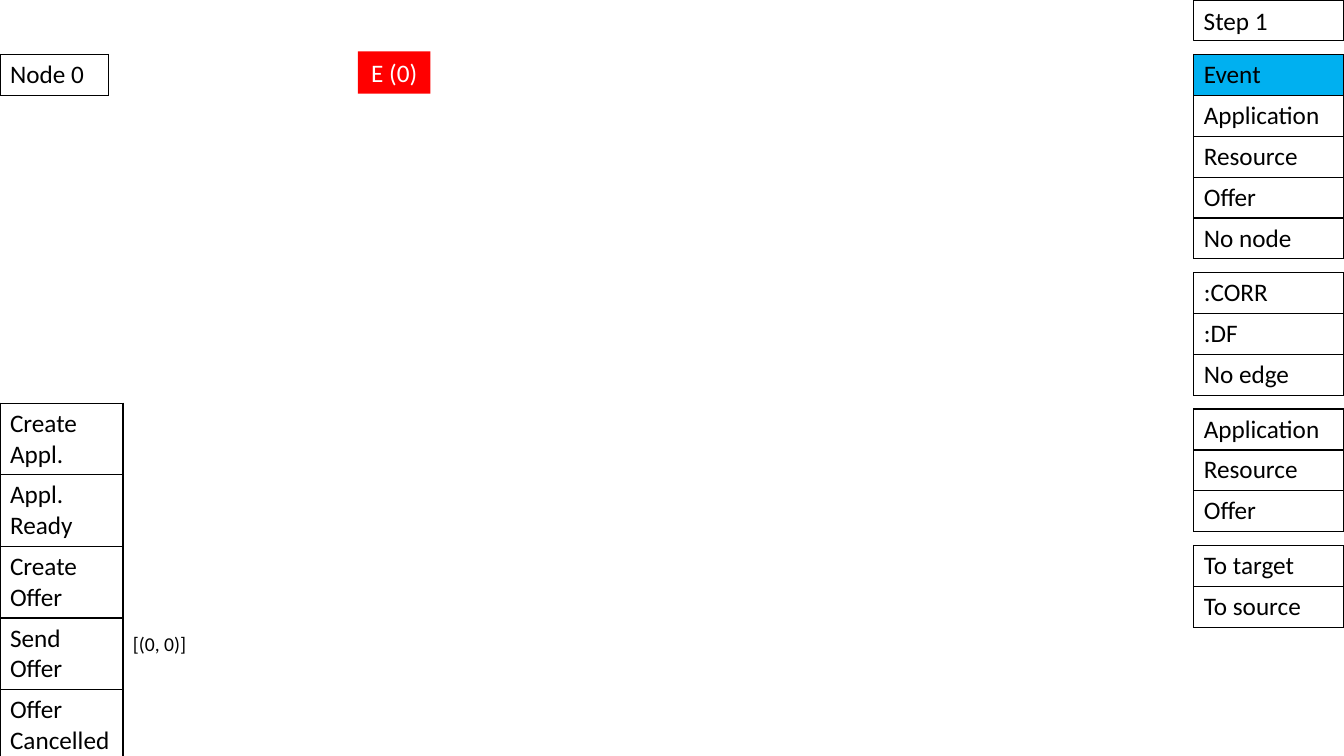
from lxml import etree
from pptx import Presentation
from pptx import util as u
from pptx.dml.color import RGBColor
from pptx.enum import shapes, text
from pptx.oxml import ns

presentation = Presentation()
presentation.slide_width = u.Inches(13.33)
presentation.slide_height = u.Inches(7.5)
slide = presentation.slides.add_slide(presentation.slide_layouts[6])
width, height = presentation.slide_width, presentation.slide_height

unit = height / 55.45
row_height = 3 * unit
side_width = u.Inches(1.49)
side_left = width - side_width
step_width = u.Inches(1.22)


def color(value):
    return RGBColor.from_string(value)


def write(frame, words, size=18, ink="000000", align=text.PP_ALIGN.LEFT):
    paragraph = frame.paragraphs[0]
    paragraph.alignment = align
    run = paragraph.add_run()
    run.text = words
    for name, value in {"name": "Calibri", "size": u.Pt(size), "bold": False}.items():
        setattr(run.font, name, value)
    run.font.color.rgb = color(ink)


boxes = [
    ("Step 1", side_left, 0, side_width, row_height, None, "000000",
     "000000", text.PP_ALIGN.LEFT, text.MSO_ANCHOR.TOP),
    ("E (0)", u.Inches(3.55), u.Inches(0.51), u.Inches(0.72), u.Inches(0.42), "FF0000", None,
     "FFFFFF", text.PP_ALIGN.CENTER, text.MSO_ANCHOR.MIDDLE),
]
for words, left, top, wide, high, fill, line, ink, align, anchor in boxes:
    shape = slide.shapes.add_shape(shapes.MSO_SHAPE.RECTANGLE, int(left), int(top), int(wide), int(high))
    shape.shadow.inherit = False
    for part, value in ((shape.fill, fill), (shape.line.fill, line)):
        if value:
            part.solid()
            part.fore_color.rgb = color(value)
        else:
            part.background()
    if line:
        shape.line.width = u.Pt(0.75)
    shape.text_frame.vertical_anchor = anchor
    write(shape.text_frame, words, ink=ink, align=align)

node_labels = ["Event", "Application", "Resource", "Offer", "No node"]
side_groups = [
    node_labels,
    [":CORR", ":DF", "No edge"],
    node_labels[1:4],
    ["To target", "To source"],
]
activities = ["Create Appl.", "Appl. Ready", "Create Offer", "Send Offer", "Offer Cancelled"]

tables = [
    (["Node 0"], 0, 4 * unit, u.Inches(1.08), row_height),
    (activities, 0, height - u.Inches(3.5), step_width, u.Inches(0.7)),
]
top = 4 * unit
for labels in side_groups:
    tables.append((labels, side_left, top, side_width, row_height))
    top += len(labels) * row_height + unit

for labels, left, top, wide, high in tables:
    table = slide.shapes.add_table(
        len(labels), 1, int(left), int(top), int(wide), int(high * len(labels))).table
    table.first_row = table.horz_banding = False
    for row, label in zip(table.rows, labels):
        row.height = int(high)
        cell = row.cells[0]
        write(cell.text_frame, label)
        properties = cell._tc.get_or_add_tcPr()
        for side in ("a:lnL", "a:lnR", "a:lnT", "a:lnB"):
            border = etree.SubElement(properties, ns.qn(side), w=str(u.Pt(1)))
            solid = etree.SubElement(border, ns.qn("a:solidFill"))
            etree.SubElement(solid, ns.qn("a:srgbClr"), val="000000")
        if label == "Event":
            cell.fill.solid()
            cell.fill.fore_color.rgb = color("00B0F0")
        else:
            cell.fill.background()

queue = slide.shapes.add_textbox(step_width, u.Inches(6.22), width - step_width, u.Inches(0.34))
queue.text_frame.word_wrap = True
write(queue.text_frame, "[(0, 0)]", size=14)

presentation.save("out.pptx")
